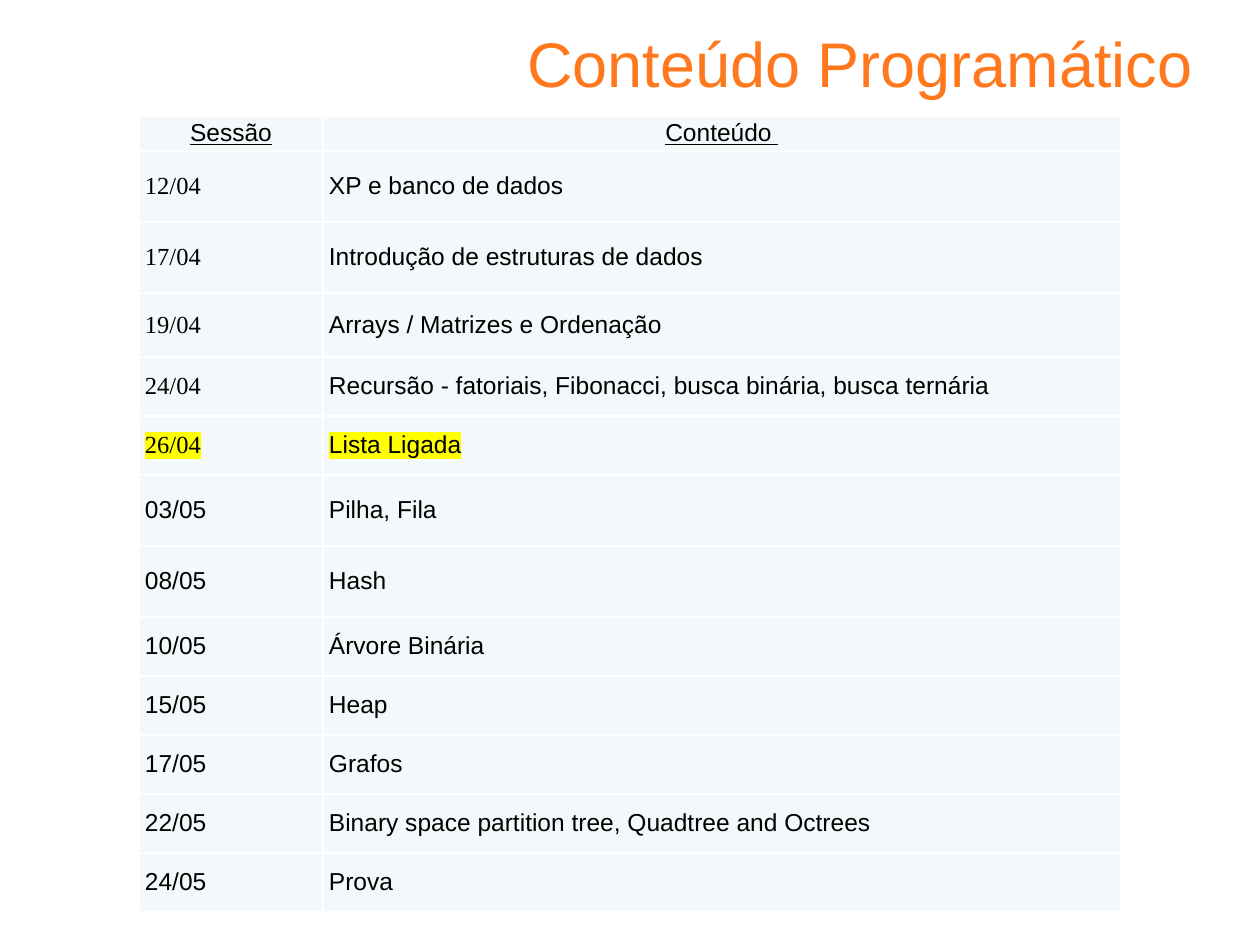
from lxml import etree
from pptx import Presentation
from pptx.dml.color import RGBColor
from pptx.enum.text import MSO_ANCHOR, MSO_AUTO_SIZE, PP_ALIGN
from pptx.oxml.ns import qn
from pptx.util import Emu, Pt

CENTER, RIGHT, JUSTIFY = PP_ALIGN.CENTER, PP_ALIGN.RIGHT, PP_ALIGN.JUSTIFY
MIDDLE = MSO_ANCHOR.MIDDLE
FIT_SHAPE = MSO_AUTO_SIZE.SHAPE_TO_FIT_TEXT
PX = 914400 // 126
SANS, SERIF = "Arial", "Times New Roman"
ORANGE, BLACK, WHITE = "FF781D", "000000", "FFFFFF"
CELL_FILL, MARKER = "F3F9FA", "FFFF00"

HEADER = ("Sessão", "Conteúdo ")
TODAY = "26/04"
SERIF_DATES = {"12/04", "17/04", "19/04", "24/04", TODAY}
SESSIONS = [  # date, content, row height
    ("12/04", "XP e banco de dados", 71),
    ("17/04", "Introdução de estruturas de dados", 71),
    ("19/04", "Arrays / Matrizes e Ordenação", 64),
    ("24/04", "Recursão - fatoriais, Fibonacci, busca binária, busca ternária", 59),
    (TODAY, "Lista Ligada", 59),
    ("03/05", "Pilha, Fila", 71),
    ("08/05", "Hash", 71),
    ("10/05", "Árvore Binária", 59),
    ("15/05", "Heap", 59),
    ("17/05", "Grafos", 59),
    ("22/05", "Binary space partition tree, Quadtree and Octrees", 59),
    ("24/05", "Prova", 59),
]


def px(length):
    return Emu(length * PX)


def rgb(color):
    return RGBColor.from_string(color)


def add_color(parent, color):
    etree.SubElement(parent, qn("a:srgbClr"), val=color)


class SlideBuilder:
    def __init__(self, slide):
        self.slide = slide

    def run(self, paragraph, text, size, color=BLACK, font=SANS,
            underline=False, highlight=None):
        run = paragraph.add_run()
        run.text = text
        run.font.size = Pt(size)
        run.font.name = font
        run.font.underline = underline
        run.font.color.rgb = rgb(color)
        if highlight:
            mark = etree.Element(qn("a:highlight"))
            add_color(mark, highlight)
            run.font._element.find(qn("a:solidFill")).addnext(mark)

    def title(self, text, left, top, width, height):
        frame = self.slide.shapes.add_textbox(
            px(left), px(top), px(width), px(height)).text_frame
        frame.word_wrap = True
        frame.auto_size = FIT_SHAPE
        paragraph = frame.paragraphs[0]
        paragraph.alignment = RIGHT
        before = etree.Element(qn("a:spcBef"))
        etree.SubElement(before, qn("a:spcPct"), val="50000")
        paragraph._p.get_or_add_pPr().insert(0, before)
        self.run(paragraph, text, 36, ORANGE)

    def table(self, left, top, widths, heights):
        table = self.slide.shapes.add_table(
            len(heights), len(widths), px(left), px(top),
            px(sum(widths)), px(sum(heights))).table
        table.first_row = table.horz_banding = False
        for column, width in zip(table.columns, widths):
            column.width = px(width)
        for row, height in zip(table.rows, heights):
            row.height = px(height)
        return table

    def cell(self, cell, text, align=JUSTIFY, **style):
        cell.margin_left = cell.margin_right = px(6)
        cell.margin_top = cell.margin_bottom = 0
        cell.vertical_anchor = MIDDLE
        cell.fill.solid()
        cell.fill.fore_color.rgb = rgb(CELL_FILL)
        self.borders(cell)
        paragraph = cell.text_frame.paragraphs[0]
        paragraph.alignment = align
        self.run(paragraph, text, 14, **style)

    def borders(self, cell):
        properties = cell._tc.get_or_add_tcPr()
        for index, side in enumerate(("L", "R", "T", "B")):
            line = etree.Element(qn(f"a:ln{side}"), w=str(Pt(1)))
            add_color(etree.SubElement(line, qn("a:solidFill")), WHITE)
            properties.insert(index, line)


def main():
    presentation = Presentation()
    presentation.slide_width, presentation.slide_height = px(1260), px(945)
    slide = presentation.slides.add_slide(presentation.slide_layouts[6])
    builder = SlideBuilder(slide)
    builder.title("Conteúdo Programático", 302, 18, 903, 88)

    heights = [35] + [height for _, _, height in SESSIONS]
    schedule = builder.table(139, 116, (184, 798), heights)
    for column, heading in enumerate(HEADER):
        builder.cell(schedule.cell(0, column), heading, CENTER, underline=True)
    for row, (date, content, _) in enumerate(SESSIONS, start=1):
        highlight = MARKER if date == TODAY else None
        date_font = SERIF if date in SERIF_DATES else SANS
        builder.cell(schedule.cell(row, 0), date, font=date_font, highlight=highlight)
        builder.cell(schedule.cell(row, 1), content, highlight=highlight)

    presentation.save("out.pptx")


if __name__ == "__main__":
    main()
